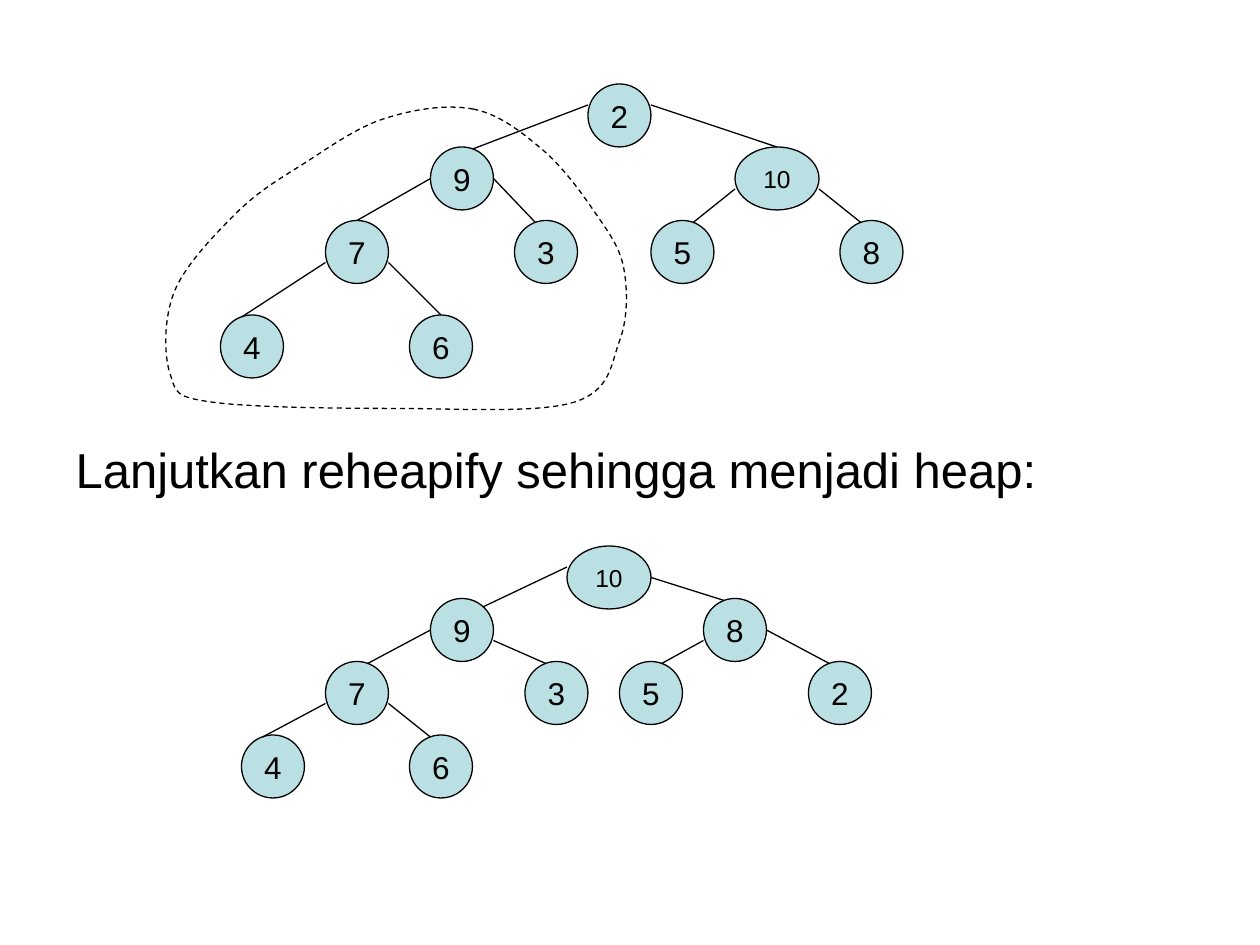
"""Slide with a binary tree before and after reheapify."""
import math

import pptx
import pptx.dml.color
import pptx.enum.dml
import pptx.enum.shapes
import pptx.enum.text
import pptx.oxml.ns
import pptx.util
from lxml import etree

PX = 7620
NODE = 60
WIDE_NODE = 80
qn = pptx.oxml.ns.qn


def color(value):
    return pptx.dml.color.RGBColor.from_string(value)


def style(item, size):
    item.font.name = "Arial"
    item.font.size = pptx.util.Pt(size)
    item.font.color.rgb = color("000000")


deck = pptx.Presentation()
deck.slide_width, deck.slide_height = 1200 * PX, 900 * PX
slide = deck.slides.add_slide(deck.slide_layouts[1])
slide.shapes.title.element.getparent().remove(slide.shapes.title.element)

instruction = slide.placeholders[1]
instruction.left, instruction.top = 60 * PX, 60 * PX
instruction.width, instruction.height = 1080 * PX, 790 * PX
frame = instruction.text_frame
frame.text = "Lanjutkan reheapify sehingga menjadi heap:"
frame.auto_size = pptx.enum.text.MSO_AUTO_SIZE.NONE
frame.vertical_anchor = pptx.enum.text.MSO_ANCHOR.TOP
frame.margin_top = 359 * PX
sentence = frame.paragraphs[0]
indents = sentence._p.get_or_add_pPr()
indents.set("marL", str(45 * PX))
indents.set("indent", str(-45 * PX))
etree.SubElement(indents, qn("a:buNone"))
sentence.space_before = pptx.util.Pt(0)
style(sentence.runs[0], 28)

# Each tree is in heap order: the parent of entry i is entry (i - 1) // 2.
# An edge leaves its parent's side at "drops" and meets the child at "shifts".
trees = [
    {
        "keys": [2, 9, 10, 7, 3, 5, 8, 4, 6],
        "lefts": [560, 410, 700, 310, 490, 620, 800, 210, 390],
        "level_tops": [80, 140, 210, 300],
        "drops": [20, 20, 30, 30, 40, 40, 40, 40],
        "shifts": [40, 40, 30, 20, 40, 20, 20, 30],
    },
    {
        "keys": [10, 9, 8, 7, 3, 5, 2, 4, 6],
        "lefts": [540, 410, 670, 310, 500, 590, 770, 230, 390],
        "level_tops": [520, 570, 630, 700],
        "drops": [20, 30, 30, 40, 40, 30, 40, 40],
        "shifts": [50, 20, 40, 20, 40, 20, 20, 20],
    },
]
for tree in trees:
    places = []
    for index, (key, left) in enumerate(zip(tree["keys"], tree["lefts"])):
        level = int(math.log2(index + 1))
        top = tree["level_tops"][level]
        width = NODE if key < 10 else WIDE_NODE
        places.append((left, top, width))

        node = slide.shapes.add_shape(
            pptx.enum.shapes.MSO_SHAPE.OVAL,
            left * PX, top * PX, width * PX, NODE * PX)
        node.shadow.inherit = False
        node.fill.solid()
        node.fill.fore_color.rgb = color("BBE0E3")
        node.line.color.rgb = color("000000")
        node.line.width = pptx.util.Pt(0.75)
        node.text_frame.text = str(key)
        node.text_frame.word_wrap = False
        node.text_frame.vertical_anchor = pptx.enum.text.MSO_ANCHOR.MIDDLE
        label = node.text_frame.paragraphs[0]
        label.alignment = pptx.enum.text.PP_ALIGN.CENTER
        style(label.runs[0], 18 if key < 10 else 14)

    links = zip(tree["drops"], tree["shifts"])
    for child, (drop, shift) in enumerate(links, start=1):
        parent_left, parent_top, parent_width = places[(child - 1) // 2]
        child_left, child_top, child_width = places[child]
        is_left_child = child % 2 == 1
        start_x = parent_left if is_left_child else parent_left + parent_width
        across = (2 * shift - child_width) / child_width
        rim = round(NODE / 2 * (1 - math.sqrt(1 - across ** 2)))

        edge = slide.shapes.add_connector(
            pptx.enum.shapes.MSO_CONNECTOR.STRAIGHT,
            start_x * PX, (parent_top + drop) * PX,
            (child_left + shift) * PX, (child_top + rim) * PX)
        edge.line.color.rgb = color("000000")
        edge.line.width = pptx.util.Pt(0.75)
        etree.SubElement(edge.element.spPr, qn("a:effectLst"))

upper_left_side = [(451, 104), (366, 113), (286, 158), (224, 204), (166, 278)]
bottom_side = [(162, 356), (202, 383), (377, 389), (547, 383)]
right_side = [(590, 325), (594, 255), (565, 200), (516, 142)]
anchors = upper_left_side + bottom_side + right_side

curve_points = []
for index, here in enumerate(anchors):
    before = anchors[index - 1]
    after = anchors[(index + 1) % len(anchors)]
    beyond = anchors[(index + 2) % len(anchors)]
    leaving = [round(h + (a - b) / 6) for b, h, a in zip(before, here, after)]
    arriving = [round(a - (f - h) / 6) for h, a, f in zip(here, after, beyond)]
    curve_points += [leaving, arriving, after]

builder = slide.shapes.build_freeform(*anchors[0], scale=PX)
builder.add_line_segments(curve_points, close=True)
subtree = builder.convert_to_shape()
subtree.shadow.inherit = False
subtree.fill.background()
subtree.line.color.rgb = color("000000")
subtree.line.width = pptx.util.Pt(0.75)
subtree.line.dash_style = pptx.enum.dml.MSO_LINE.DASH

segments = subtree.element.xpath(".//a:lnTo")
for first in range(0, len(segments), 3):
    curve = etree.Element(qn("a:cubicBezTo"))
    segments[first].addprevious(curve)
    for segment in segments[first:first + 3]:
        curve.append(segment[0])
        segment.getparent().remove(segment)

deck.save("out.pptx")
